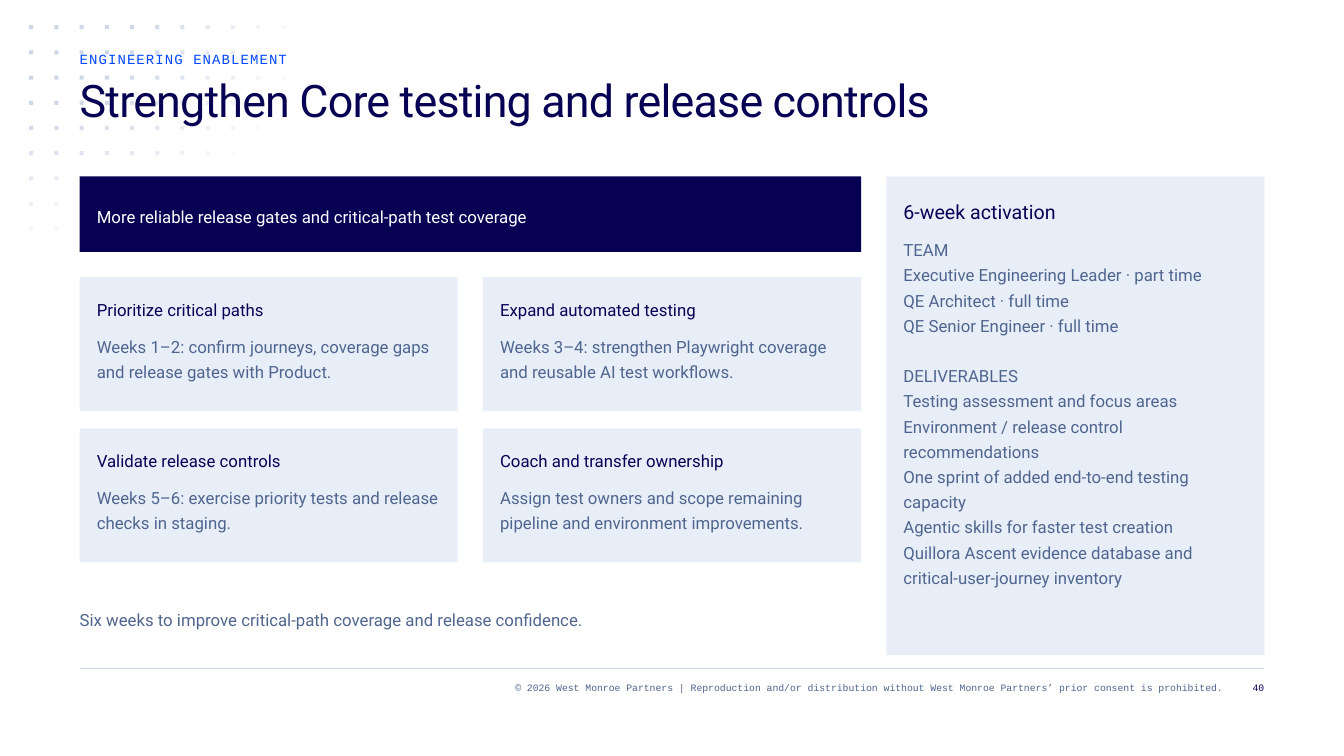
"""Build the testing and release controls slide."""
from dataclasses import dataclass
from math import hypot

from lxml.etree import SubElement
from pptx import Presentation
from pptx.dml.color import RGBColor
from pptx.enum.shapes import MSO_CONNECTOR, MSO_SHAPE
from pptx.enum.text import MSO_ANCHOR, MSO_AUTO_SIZE, PP_ALIGN
from pptx.oxml.ns import qn
from pptx.slide import Slide
from pptx.text.text import TextFrame
from pptx.util import Inches, Pt

NAVY, SLATE, BLUE = "070154", "50658E", "0047FF"
PALE, MIST, WHITE = "E8EEF8", "CED7E6", "FFFFFF"
LEFT, RIGHT = 0.79, 12.54
CONTENT_TOP = 1.75
PAD = 0.17
CARD_WIDTH, CARD_HEIGHT = 3.75, 1.33
CARD_TOP, COLUMN_STEP, ROW_STEP = 2.75, 4, 1.5
WIDE = COLUMN_STEP + CARD_WIDTH
TEXT_WIDTH = 3.42
DOT_STEP, DOT_SIZE = 0.25, 0.04


@dataclass(frozen=True)
class Box:
    """Position and size in inches."""
    left: float
    top: float
    width: float
    height: float


@dataclass(frozen=True)
class Style:
    """Type settings in points; tracking is letter spacing."""
    size: float
    color: str
    leading: float
    font: str = "Roboto"
    align: PP_ALIGN = PP_ALIGN.LEFT
    tracking: float = 0


@dataclass(frozen=True)
class Card:
    """One activity in the two-column grid."""
    column: int
    row: int
    heading: str
    detail: str


TITLE = Style(32, NAVY, 36, tracking=-0.6)
EYEBROW = Style(10, BLUE, 12, "Courier New", tracking=0.8)
BANNER = Style(12, WHITE, 18)
HEADING = Style(12, NAVY, 18)
BODY = Style(12, SLATE, 18)
PANEL_HEADING = Style(14, NAVY, 21)
COPYRIGHT = Style(7, SLATE, 9, "Courier New", PP_ALIGN.RIGHT)
PAGE_NUMBER = Style(7, NAVY, 9, "Courier New", PP_ALIGN.RIGHT)

CARDS = [
    Card(0, 0, "Prioritize critical paths",
         "Weeks 1–2: confirm journeys, coverage gaps and release gates with Product."),
    Card(1, 0, "Expand automated testing",
         "Weeks 3–4: strengthen Playwright coverage and reusable AI test workflows."),
    Card(0, 1, "Validate release controls",
         "Weeks 5–6: exercise priority tests and release checks in staging."),
    Card(1, 1, "Coach and transfer ownership",
         "Assign test owners and scope remaining pipeline and environment improvements."),
]
TEAM = [
    "TEAM",
    "Executive Engineering Leader · part time",
    "QE Architect · full time",
    "QE Senior Engineer · full time",
]
DELIVERABLES = [
    "DELIVERABLES",
    "Testing assessment and focus areas",
    "Environment / release control recommendations",
    "One sprint of added end-to-end testing capacity",
    "Agentic skills for faster test creation",
    "Quillora Ascent evidence database and critical-user-journey inventory",
]


def rgb(color: str) -> RGBColor:
    """Turn a hex string into a colour."""
    return RGBColor.from_string(color)


def write(frame: TextFrame, sections: list[list[str]], style: Style) -> None:
    """Fill a frame with sections of lines, one line of space between sections."""
    frame.word_wrap = True
    frame.auto_size = MSO_AUTO_SIZE.NONE
    frame.vertical_anchor = MSO_ANCHOR.TOP
    frame.margin_left = frame.margin_right = 0
    frame.margin_top = frame.margin_bottom = 0
    first = True
    for section in sections:
        for index, line in enumerate(section):
            paragraph = frame.paragraphs[0] if first else frame.add_paragraph()
            gap = style.leading if index == 0 and not first else 0
            first = False
            paragraph.alignment = style.align
            paragraph.line_spacing = Pt(style.leading)
            paragraph.space_before = Pt(gap)
            run = paragraph.add_run()
            run.text = line
            run.font.name = style.font
            run.font.size = Pt(style.size)
            run.font.color.rgb = rgb(style.color)
            if style.tracking:
                run.font._element.set("spc", str(round(style.tracking * 100)))


def add_text(slide: Slide, box: Box, style: Style, *sections: list[str]) -> None:
    """Add a text box without margins."""
    label = slide.shapes.add_textbox(
        Inches(box.left), Inches(box.top), Inches(box.width), Inches(box.height))
    write(label.text_frame, list(sections), style)


def add_block(slide: Slide, box: Box, color: str, opacity: float = 100) -> None:
    """Add a plain rectangle, opacity in percent."""
    block = slide.shapes.add_shape(
        MSO_SHAPE.RECTANGLE,
        Inches(box.left), Inches(box.top), Inches(box.width), Inches(box.height))
    block.shadow.inherit = False
    block.line.fill.background()
    block.fill.solid()
    block.fill.fore_color.rgb = rgb(color)
    if opacity < 100:
        tint = next(block._element.spPr.iter(qn("a:srgbClr")))
        SubElement(tint, qn("a:alpha")).set("val", str(round(opacity) * 1000))


def add_dots(slide: Slide) -> None:
    """Draw the corner dots, fading out along an ellipse and stopping at the banner."""
    for column in range(11):
        for row in range(9 if column < 2 else 6):
            opacity = 153 * (1 - hypot(column / 11.08, row / 9.07))
            if opacity >= 1:
                dot = Box(0.29 + column * DOT_STEP, 0.25 + row * DOT_STEP,
                          DOT_SIZE, DOT_SIZE)
                add_block(slide, dot, MIST, opacity)


def add_footer(slide: Slide) -> None:
    """Draw the rule, copyright line and page number."""
    rule = slide.shapes.add_connector(
        MSO_CONNECTOR.STRAIGHT, Inches(LEFT), Inches(6.63), Inches(RIGHT), Inches(6.63))
    rule.line.color.rgb = rgb(MIST)
    rule.line.width = Pt(0.75)
    SubElement(rule._element.spPr, qn("a:effectLst"))
    add_text(slide, Box(2.38, 6.75, 9.75, 0.25), COPYRIGHT,
             ["© 2026 West Monroe Partners | Reproduction and/or distribution without "
              "West Monroe Partners’ prior consent is prohibited."])
    add_text(slide, Box(12.21, 6.75, 0.33, 0.25), PAGE_NUMBER, ["40"])


def add_card(slide: Slide, card: Card) -> None:
    """Draw one activity card at its place in the grid."""
    left = LEFT + card.column * COLUMN_STEP
    top = CARD_TOP + card.row * ROW_STEP
    add_block(slide, Box(left, top, CARD_WIDTH, CARD_HEIGHT), PALE)
    add_text(slide, Box(left + PAD, top + PAD, TEXT_WIDTH, 0.25), HEADING, [card.heading])
    add_text(slide, Box(left + PAD, top + 0.54, TEXT_WIDTH, 0.5), BODY, [card.detail])


def add_activation_panel(slide: Slide) -> None:
    """Draw the side panel with team and deliverables."""
    left = LEFT + 2 * COLUMN_STEP
    add_block(slide, Box(left, CONTENT_TOP, CARD_WIDTH, 4.75), PALE)
    add_text(slide, Box(left + PAD, CONTENT_TOP + PAD, TEXT_WIDTH, 0.29),
             PANEL_HEADING, ["6-week activation"])
    add_text(slide, Box(left + PAD, 2.33, TEXT_WIDTH, 3.5), BODY, TEAM, DELIVERABLES)


def add_title(slide: Slide) -> None:
    """Place the title in front of the dots."""
    title = slide.shapes.title
    title.left, title.top = Inches(LEFT), Inches(0.75)
    title.width, title.height = Inches(10.25), Inches(1)
    write(title.text_frame, [["Strengthen Core testing and release controls"]], TITLE)
    title.element.getparent().append(title.element)


def main() -> None:
    """Build and save the slide."""
    deck = Presentation()
    deck.slide_width, deck.slide_height = Inches(13.33), Inches(7.5)
    slide = deck.slides.add_slide(deck.slide_layouts[5])
    add_dots(slide)
    add_footer(slide)
    add_block(slide, Box(LEFT, CONTENT_TOP, WIDE, 0.75), NAVY)
    add_text(slide, Box(LEFT + PAD, 2, 7.42, 0.25), BANNER,
             ["More reliable release gates and critical-path test coverage"])
    for card in CARDS:
        add_card(slide, card)
    add_activation_panel(slide)
    add_text(slide, Box(LEFT, 6, WIDE, 0.5), BODY,
             ["Six weeks to improve critical-path coverage and release confidence."])
    add_title(slide)
    add_text(slide, Box(LEFT, 0.5, 10.25, 0.25), EYEBROW, ["ENGINEERING ENABLEMENT"])
    deck.save("out.pptx")


if __name__ == "__main__":
    main()
